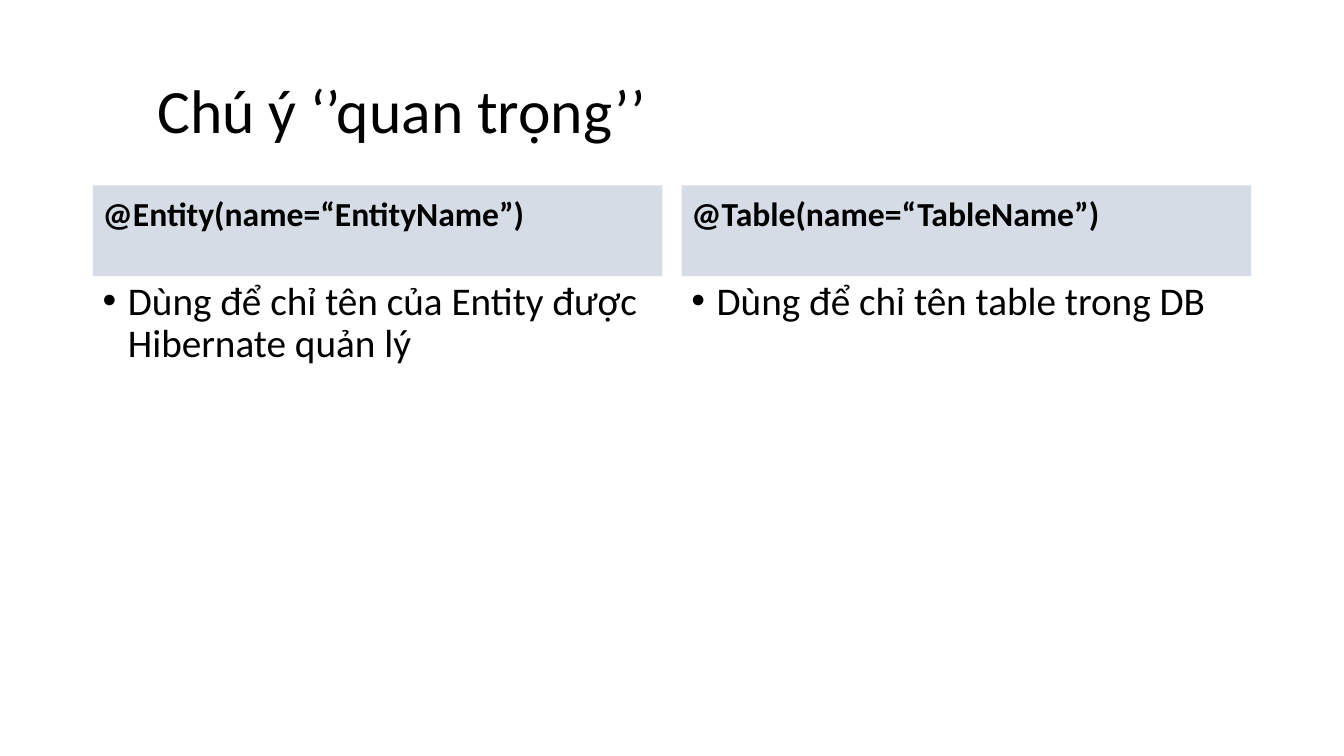
import pptx
import pptx.util
import pptx.dml.color
import pptx.enum.shapes
import pptx.enum.text
import lxml.etree
import pptx.oxml.ns

Inches = pptx.util.Inches
BLACK = pptx.dml.color.RGBColor(0x00, 0x00, 0x00)
PALE_BLUE = pptx.dml.color.RGBColor(0xD6, 0xDC, 0xE5)
ANCHOR = pptx.enum.text.MSO_ANCHOR
FONT = "Calibri"
MARGIN = 0.92
INSET = 0.1
BULLET_INDENT = 0.25


def write_text(box, text, size, bold=False, anchor=ANCHOR.TOP,
               left_inset=INSET, top_inset=0.05, bullet=False):
    frame = box.text_frame
    frame.word_wrap = True
    frame.vertical_anchor = anchor
    frame.margin_left = Inches(left_inset)
    frame.margin_top = Inches(top_inset)
    para = frame.paragraphs[0]
    para.alignment = pptx.enum.text.PP_ALIGN.LEFT
    para.line_spacing = 0.9
    span = para.add_run()
    span.text = text
    span.font.name = FONT
    span.font.size = pptx.util.Pt(size)
    span.font.bold = bold
    span.font.color.rgb = BLACK
    if bullet:
        properties = para._p.get_or_add_pPr()
        properties.set("marL", str(Inches(BULLET_INDENT)))
        properties.set("indent", str(-Inches(BULLET_INDENT)))
        mark_font = lxml.etree.SubElement(properties, pptx.oxml.ns.qn("a:buFont"))
        mark_font.set("typeface", "Arial")
        mark = lxml.etree.SubElement(properties, pptx.oxml.ns.qn("a:buChar"))
        mark.set("char", "•")


def add_title(page, text, left, top, width, height):
    box = page.shapes.add_textbox(*map(Inches, (left, top, width, height)))
    write_text(box, text, size=44, anchor=ANCHOR.MIDDLE, left_inset=INSET + 0.54)


def add_column(page, heading, point, left, top, width, height, heading_height=0.9):
    band = page.shapes.add_shape(
        pptx.enum.shapes.MSO_SHAPE.RECTANGLE,
        *map(Inches, (left, top, width, heading_height)))
    band.shadow.inherit = False
    band.fill.solid()
    band.fill.fore_color.rgb = PALE_BLUE
    band.line.fill.background()
    write_text(band, heading, size=24, bold=True, top_inset=0.12)
    body = page.shapes.add_textbox(
        *map(Inches, (left, top + heading_height, width, height - heading_height)))
    write_text(body, point, size=28, bullet=True)


def build_comparison(page, title, columns, width, height):
    content_width = width - 2 * MARGIN
    gap = 0.19
    column_width = (content_width - gap * (len(columns) - 1)) / len(columns)
    add_title(page, title, MARGIN, 0.4, content_width, 1.45)
    for index, (heading, point) in enumerate(columns):
        left = MARGIN + index * (column_width + gap)
        add_column(page, heading, point, left, 1.84, column_width, height - 2.57)


deck = pptx.Presentation()
slide_width, slide_height = 13.33, 7.5
deck.slide_width = Inches(slide_width)
deck.slide_height = Inches(slide_height)
page = deck.slides.add_slide(deck.slide_layouts[6])
build_comparison(page, "Chú ý ‘’quan trọng’’", [
    ("@Entity(name=“EntityName”)", "Dùng để chỉ tên của Entity được Hibernate quản lý"),
    ("@Table(name=“TableName”)", "Dùng để chỉ tên table trong DB"),
], slide_width, slide_height)
deck.save("out.pptx")
